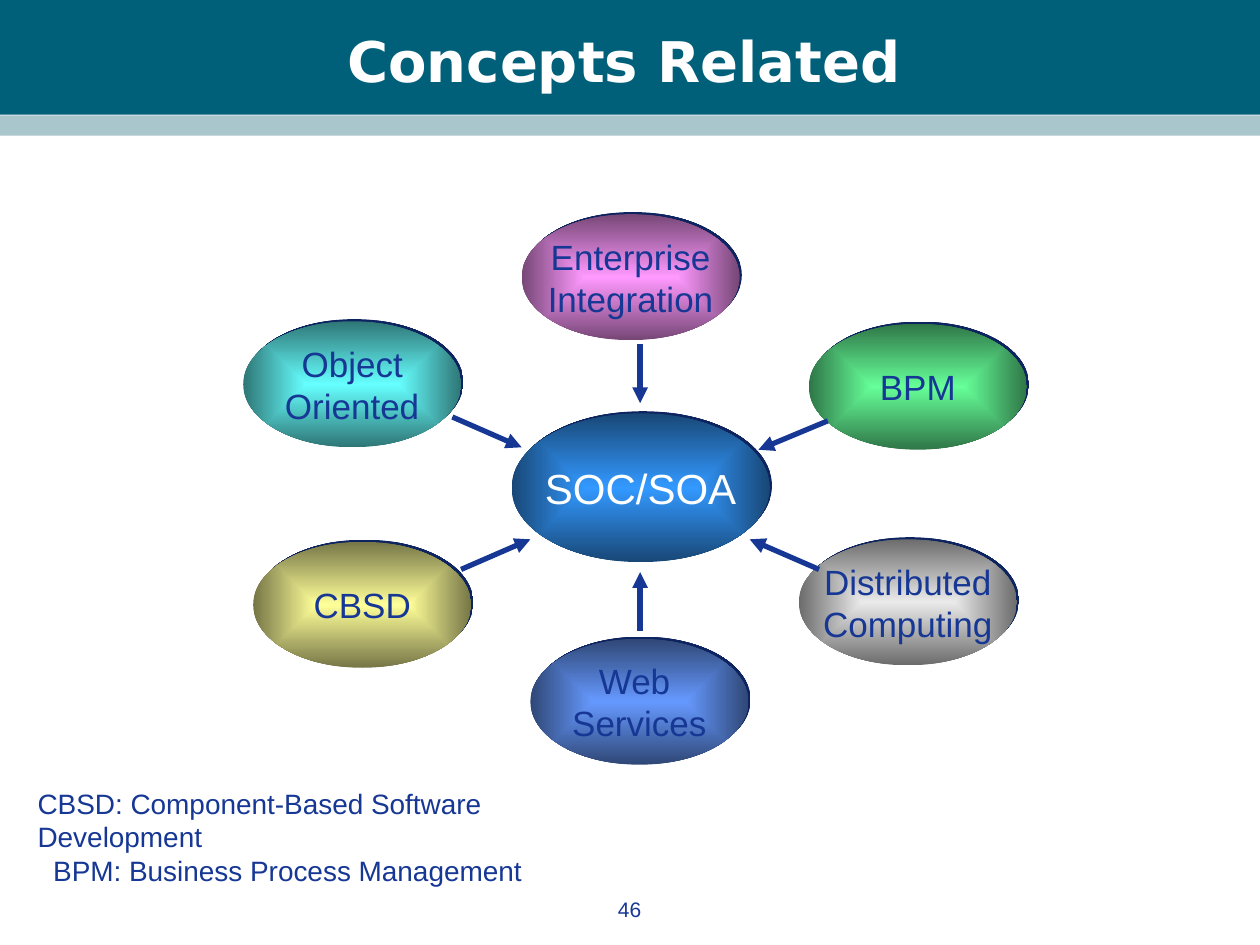
from dataclasses import dataclass

from lxml.etree import SubElement
from pptx import Presentation
from pptx.dml.color import RGBColor
from pptx.enum.shapes import MSO_CONNECTOR, MSO_SHAPE
from pptx.enum.text import MSO_ANCHOR, PP_ALIGN
from pptx.oxml import parse_xml
from pptx.oxml.ns import nsdecls, qn
from pptx.util import Pt


@dataclass(frozen=True)
class Theme:
    band: str = "00607A"
    stripe: str = "A9C6CC"
    ink: str = "163794"
    light: str = "FFFFFF"
    shade: str = "0D2460"
    face: str = "Arial"
    head_face: str = "DejaVu Sans"
    head: int = 32
    hub: int = 24
    node: int = 20
    note: int = 16
    page: int = 12


THEME = Theme()
NODE_SIZE = (124.6, 72)
HUB = ("SOC/SOA", 153.3, 114.2, "3399FF", "184776")
NODES = [
    ("Object\nOriented", 0, 61.6, "66FFFF", "2F7676"),
    ("CBSD", 5.7, 187.6, "FFFF99", "767647"),
    ("Web \nServices", 164.1, 243, "6699FF", "2F4776"),
    ("Distributed\nComputing", 317.5, 186.2, "EAEAEA", "6C6C6C"),
    ("BPM", 323.2, 63, "66FF99", "2F7647"),
    ("Enterprise\nIntegration", 159.1, 0.4, "FF99FF", "764776"),
]
ARROWS = [
    (226.8, 74.6, 226.8, 108.4),
    (226.8, 238.7, 226.8, 204.9),
    (119.5, 116.3, 159.1, 133.6),
    (334, 118.5, 294.4, 135),
    (124.5, 203.4, 164.1, 186.2),
    (329, 203.4, 289.4, 186.2),
]


def color(code):
    return RGBColor.from_string(code)


def write(shape, text, size, ink=THEME.ink, face=THEME.face, bold=False,
          align=PP_ALIGN.CENTER, anchor=MSO_ANCHOR.MIDDLE, wrap=True):
    frame = shape.text_frame
    frame.text = text
    frame.word_wrap = wrap
    frame.vertical_anchor = anchor
    for line in frame.paragraphs:
        line.alignment = align
        font = line.font
        font.size, font.name, font.bold = Pt(size), face, bold
        font.color.rgb = color(ink)
    return frame


def place(shape, box):
    shape.left, shape.top, shape.width, shape.height = map(Pt, box)


def add_head(slide, box, text):
    left, top, width, height = box
    title = slide.shapes.title
    for code, y, tall in ((THEME.band, 0, 65.5), (THEME.stripe, 66, 11.5)):
        bar = slide.shapes.add_shape(
            MSO_SHAPE.RECTANGLE, Pt(left), Pt(top + y), Pt(width), Pt(tall))
        bar.shadow.inherit = False
        bar.fill.solid()
        bar.fill.fore_color.rgb = color(code)
        bar.line.fill.background()
        title.element.addprevious(bar.element)
    place(title, (left + 23.8, top + 12.2, 666, 44.6))
    write(title, text, THEME.head, ink=THEME.light, face=THEME.head_face, bold=True)


def glow(shape, inner, outer):
    props = shape.element.spPr
    fill = parse_xml(
        f'<a:gradFill {nsdecls("a")} rotWithShape="1"><a:gsLst>'
        f'<a:gs pos="0"><a:srgbClr val="{inner}"/></a:gs>'
        f'<a:gs pos="100000"><a:srgbClr val="{outer}"/></a:gs></a:gsLst>'
        '<a:path path="shape"><a:fillToRect l="50000" t="50000" r="50000" b="50000"/>'
        '</a:path></a:gradFill>')
    props.find(qn("a:prstGeom")).addnext(fill)
    shape.line.fill.background()
    props.append(parse_xml(
        f'<a:effectLst {nsdecls("a")}><a:outerShdw dist="22000" dir="18900000" '
        f'algn="ctr" rotWithShape="0"><a:srgbClr val="{THEME.shade}"/>'
        '</a:outerShdw></a:effectLst>'))


def add_node(slide, box, text, inner, outer, **style):
    node = slide.shapes.add_shape(MSO_SHAPE.OVAL, *map(Pt, box))
    glow(node, inner, outer)
    write(node, text, wrap=False, **style)


def add_arrow(slide, start, end):
    arrow = slide.shapes.add_connector(
        MSO_CONNECTOR.STRAIGHT, *map(Pt, start), *map(Pt, end))
    arrow.line.width = Pt(3)
    arrow.line.color.rgb = color(THEME.ink)
    SubElement(arrow.line._get_or_add_ln(), qn("a:tailEnd"), type="triangle")
    SubElement(arrow.element.spPr, qn("a:effectLst"))


def add_map(slide, box):
    left, top = box[:2]
    text, x, y, inner, outer = HUB
    add_node(slide, (left + x, top + y, 147.6, 85), text, inner, outer,
             size=THEME.hub, ink=THEME.light)
    for text, x, y, inner, outer in NODES:
        add_node(slide, (left + x, top + y, *NODE_SIZE), text, inner, outer,
                 size=THEME.node)
    for x, y, to_x, to_y in ARROWS:
        add_arrow(slide, (left + x, top + y), (left + to_x, top + to_y))


def add_text(slide, box, text, **style):
    return write(slide.shapes.add_textbox(*map(Pt, box)), text,
                 anchor=MSO_ANCHOR.TOP, **style)


def add_notes(slide, box):
    frame = add_text(
        slide, box,
        "CBSD: Component-Based Software Development\nBPM: Business Process Management",
        size=THEME.note, align=PP_ALIGN.LEFT)
    frame.paragraphs[1]._p.get_or_add_pPr().set("marL", str(Pt(8.9)))


def main():
    deck = Presentation()
    deck.slide_width, deck.slide_height = Pt(720), Pt(540)
    slide = deck.slides.add_slide(deck.slide_layouts[5])
    add_head(slide, (0, 0, 720, 77.5), "Concepts Related")
    add_text(slide, (275.8, 509, 168, 25), "46", size=THEME.page)
    add_map(slide, (139, 122, 448, 315))
    add_notes(slide, (14.4, 445.7, 336, 46))
    deck.save("out.pptx")


if __name__ == "__main__":
    main()
